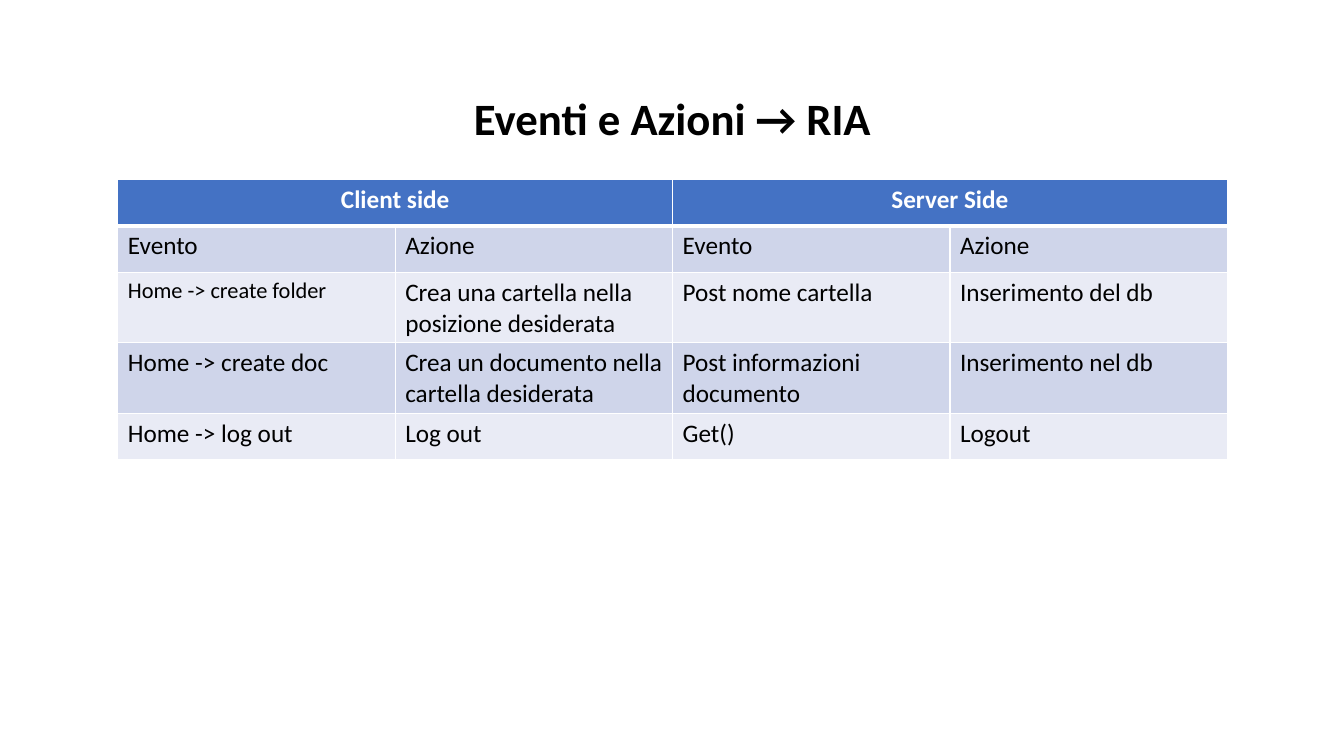
from lxml import etree
from pptx import Presentation
from pptx.dml.color import RGBColor
from pptx.enum.text import MSO_ANCHOR, PP_ALIGN
from pptx.oxml.ns import qn
from pptx.util import Cm, Pt

CENTER, LEFT = PP_ALIGN.CENTER, PP_ALIGN.LEFT
BOTTOM = MSO_ANCHOR.BOTTOM
FONT = "Calibri"
COLORS = {
    "text": "000000",
    "header_text": "FFFFFF",
    "header": "4472C4",
    "band_dark": "CFD5EA",
    "band_light": "E9EBF5",
    "border": "FFFFFF",
}
ROWS = [
    ["Client side", "", "Server Side", ""],
    ["Evento", "Azione", "Evento", "Azione"],
    ["Home -> create folder", "Crea una cartella nella posizione desiderata",
     "Post nome cartella", "Inserimento del db"],
    ["Home -> create doc", "Crea un documento nella cartella desiderata",
     "Post informazioni documento", "Inserimento nel db"],
    ["Home -> log out", "Log out", "Get()", "Logout"],
]
SMALL_CELL = (2, 0)
MARGIN, WIDTH = Cm(2.97), Cm(27.96)
ROW_HEIGHT = Cm(1.17)


def write(frame, text, size, color, bold, align):
    para = frame.paragraphs[0]
    para.alignment = align
    span = para.add_run()
    span.text = text
    span.font.name = FONT
    span.font.size = Pt(size)
    span.font.bold = bold
    span.font.color.rgb = RGBColor.from_string(COLORS[color])
    return para


def add_border(cell, side, points):
    line = etree.SubElement(cell._tc.get_or_add_tcPr(), qn("a:" + side), w=str(Pt(points)))
    fill = etree.SubElement(line, qn("a:solidFill"))
    etree.SubElement(fill, qn("a:srgbClr"), val=COLORS["border"])


deck = Presentation()
deck.slide_width, deck.slide_height = Cm(33.87), Cm(19.05)
page = deck.slides.add_slide(deck.slide_layouts[6])

# Title
box = page.shapes.add_textbox(MARGIN, Cm(1.14), WIDTH, Cm(2.64))
box.text_frame.word_wrap = True
box.text_frame.vertical_anchor = BOTTOM
title = write(box.text_frame, "Eventi e Azioni → RIA", 32, "text", True, CENTER)
title.line_spacing = 0.9

# Table grid
table = page.shapes.add_table(len(ROWS), len(ROWS[0]), MARGIN, Cm(4.52),
                              WIDTH, ROW_HEIGHT * len(ROWS)).table
for row in table.rows:
    row.height = ROW_HEIGHT
for left in (0, 2):
    table.cell(0, left).merge(table.cell(0, left + 1))

# Cells: header row, then alternating bands
for r, texts in enumerate(ROWS):
    header = r == 0
    band = "header" if header else "band_dark" if r % 2 else "band_light"
    for c, text in enumerate(texts):
        cell = table.cell(r, c)
        add_border(cell, "lnL", 1)
        add_border(cell, "lnR", 1)
        add_border(cell, "lnT", 3 if r == 1 else 1)
        add_border(cell, "lnB", 3 if header else 1)
        cell.fill.solid()
        cell.fill.fore_color.rgb = RGBColor.from_string(COLORS[band])
        if text:
            write(cell.text_frame, text, 16 if (r, c) == SMALL_CELL else 18,
                  "header_text" if header else "text", header,
                  CENTER if header else LEFT)

deck.save("out.pptx")
